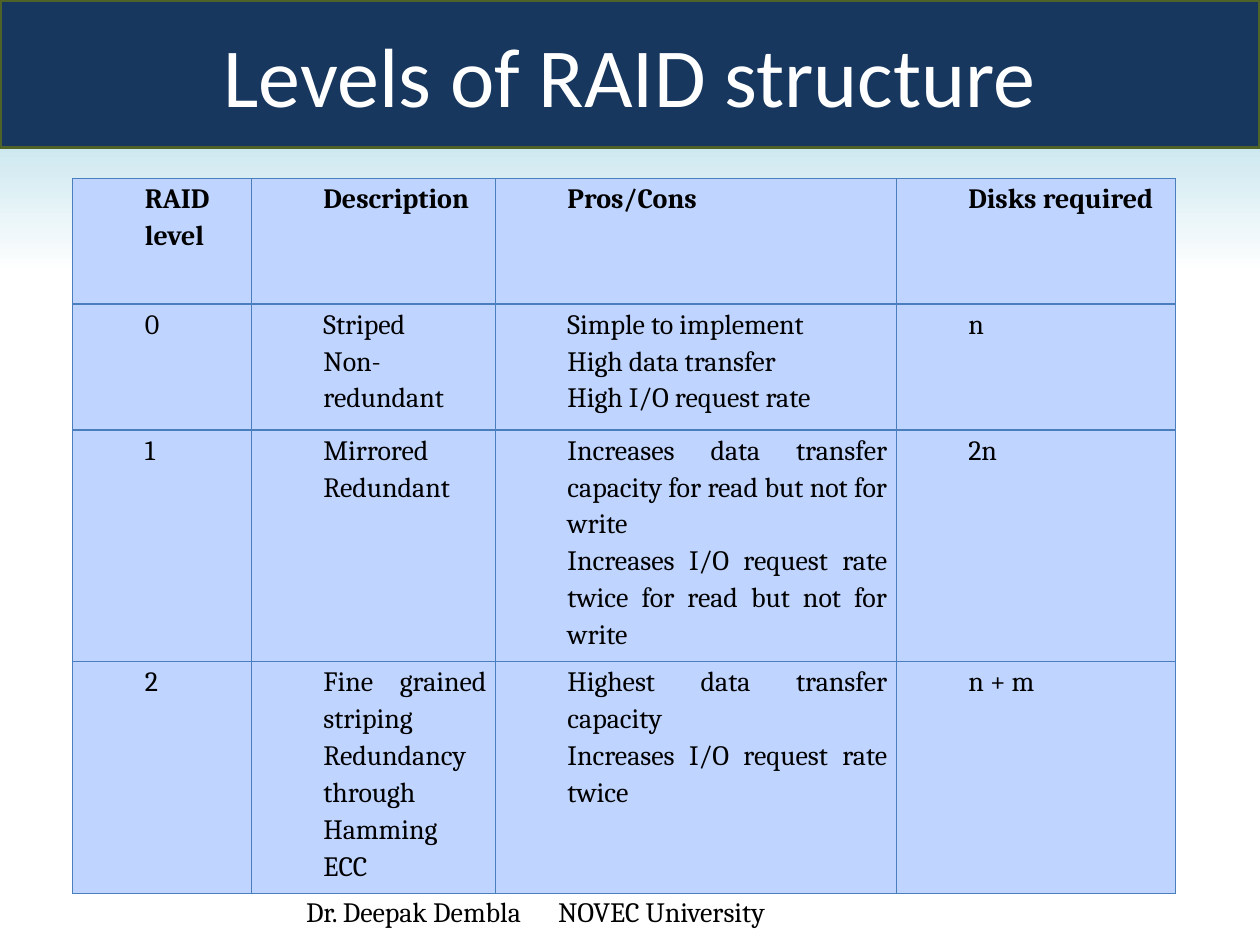
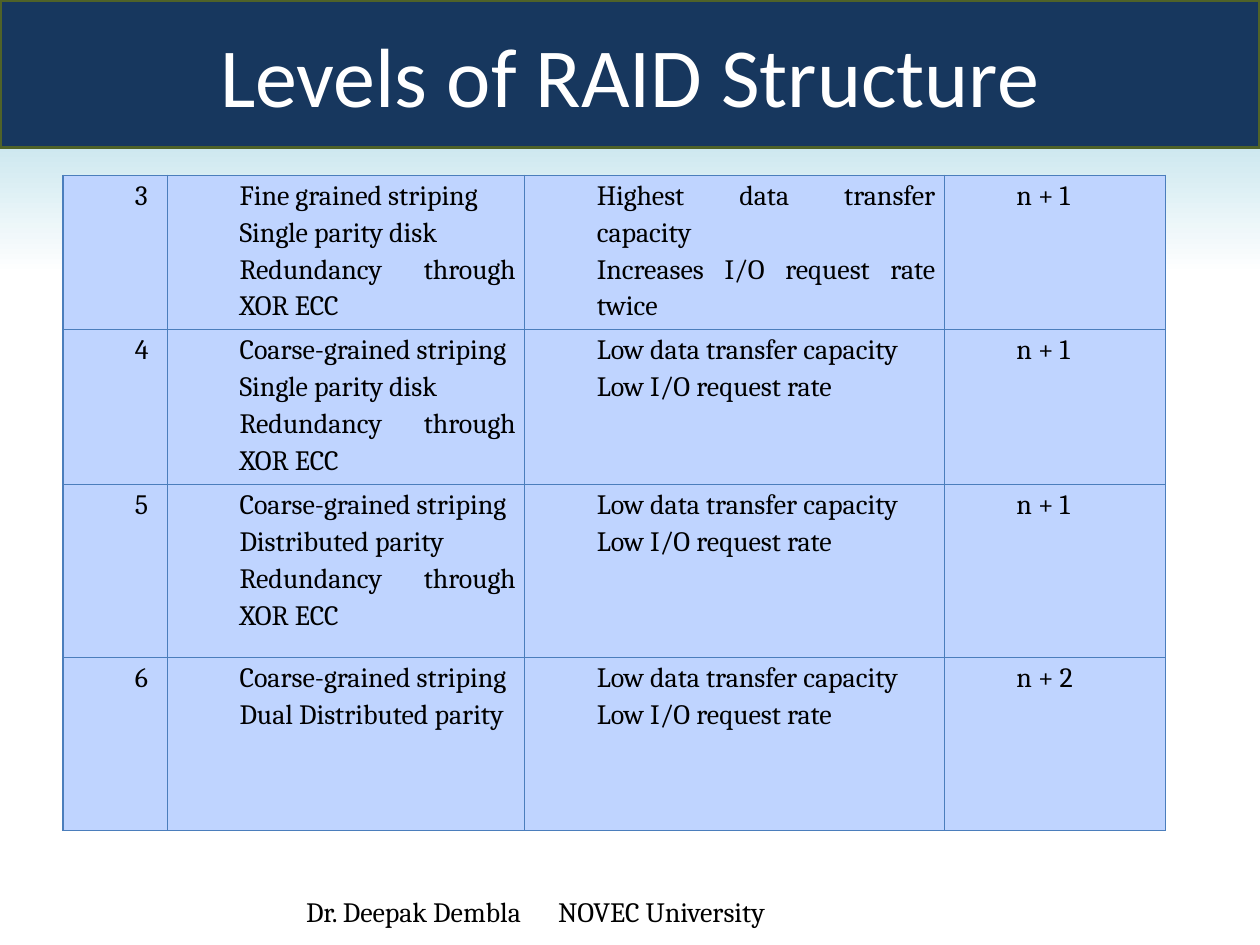
from lxml import etree
from pptx import Presentation
from pptx.dml.color import RGBColor
from pptx.enum import shapes, text
from pptx.oxml.ns import qn
from pptx.util import Cm, Pt

HUES = {
    "sky": "93CDDD", "white": "FFFFFF", "black": "000000", "navy": "17375E",
    "olive": "4F6228", "cell": "BFD4FF", "edge": "4B7EBC",
}
FOOTER = "Dr. Deepak Dembla\tNOVEC University"
XOR = "Redundancy through XOR ECC"
COARSE = "Coarse-grained striping"
FAST = ["Highest data transfer capacity", "Increases I/O request rate twice"]
SLOW = ["Low data transfer capacity", "Low I/O request rate"]

# Each cell is a list of paragraphs; lengths are in centimetres.
SLIDES = [
    {
        "title": "Levels of RAID structure",
        "head": True,
        "at": (1.47, 3.6),
        "cols": [3.6, 4.92, 8.08, 5.63],
        "heights": [2.53, 2.54, 4.67, 4.67],
        "rows": [
            [["RAID level"], ["Description"], ["Pros/Cons"], ["Disks required"]],
            [["0"], ["Striped", "Non-redundant"],
             ["Simple to implement", "High data transfer", "High I/O request rate"],
             ["n"]],
            [["1"], ["Mirrored", "Redundant"],
             ["Increases data transfer capacity for read but not for write",
              "Increases I/O request rate twice for read but not for write"],
             ["2n"]],
            [["2"], ["Fine grained striping", "Redundancy through Hamming ECC"],
             FAST, ["n + m"]],
        ],
    },
    {
        "title": "Levels of RAID Structure",
        "head": False,
        "at": (1.27, 3.53),
        "cols": [2.11, 7.2, 8.46, 4.45],
        "heights": [3.12, 3.11, 3.5, 3.48],
        "rows": [
            [["3"], ["Fine grained striping", "Single parity disk", XOR],
             FAST, ["n + 1"]],
            [["4"], [COARSE, "Single parity disk", XOR], SLOW, ["n + 1"]],
            [["5"], [COARSE, "Distributed parity", XOR], SLOW, ["n + 1"]],
            [["6"], [COARSE, "Dual Distributed parity"], SLOW, ["n + 2"]],
        ],
    },
]


def rgb(name):
    return RGBColor.from_string(HUES[name])


def paint(fill, name):
    fill.solid()
    fill.fore_color.rgb = rgb(name)


def write(frame, lines, font="Cambria", size=16, hue="black", bold=False,
          align=text.PP_ALIGN.LEFT, space=1.0, left=0, tab=None):
    """Fill a text frame with one paragraph per line; left and tab are in cm."""
    frame.word_wrap = True
    for i, line in enumerate(lines):
        para = frame.add_paragraph() if i else frame.paragraphs[0]
        para.alignment, para.line_spacing = align, space
        props = para._p.get_or_add_pPr()
        props.set("marL", str(Cm(left)))
        props.set("indent", "0")
        if tab:
            stops = etree.SubElement(props, qn("a:tabLst"))
            etree.SubElement(stops, qn("a:tab"), pos=str(Cm(tab)), algn="l")
        run = para.add_run()
        run.text = line
        run.font.name, run.font.size, run.font.bold = font, Pt(size), bold
        run.font.color.rgb = rgb(hue)


def edge(cell):
    """Draw a thin line on all four sides of a cell."""
    props = cell._tc.get_or_add_tcPr()
    for side in ("lnL", "lnR", "lnT", "lnB"):
        line = etree.SubElement(props, qn("a:" + side), w=str(Pt(0.75)))
        solid = etree.SubElement(line, qn("a:solidFill"))
        etree.SubElement(solid, qn("a:srgbClr"), val=HUES["edge"])


def add_band(slide, title):
    band = slide.shapes.add_shape(
        shapes.MSO_SHAPE.ROUNDED_RECTANGLE, 0, 0, Cm(25.4), Cm(2.97))
    band.adjustments[0] = 0
    band.shadow.inherit = False
    paint(band.fill, "navy")
    paint(band.line.fill, "olive")
    band.line.width = Pt(2)
    band.text_frame.vertical_anchor = text.MSO_ANCHOR.MIDDLE
    write(band.text_frame, [title], font="Calibri", size=48, hue="white",
          align=text.PP_ALIGN.CENTER)


def add_footer(slide):
    box = slide.shapes.add_textbox(Cm(5.92), Cm(17.91), Cm(15.04), Cm(1.0))
    write(box.text_frame, [FOOTER], tab=4.72)


def add_grid(slide, data):
    rows, cols, heights = data["rows"], data["cols"], data["heights"]
    x, y = data["at"]
    grid = slide.shapes.add_table(
        len(rows), len(cols), Cm(x), Cm(y), Cm(sum(cols)), Cm(sum(heights))).table
    grid.first_row = grid.horz_banding = False
    for col, width in zip(grid.columns, cols):
        col.width = Cm(width)
    for r, row in enumerate(rows):
        grid.rows[r].height = Cm(heights[r])
        head = data["head"] and r == 0
        for c, lines in enumerate(row):
            cell = grid.cell(r, c)
            cell.margin_left = cell.margin_right = Cm(0.18)
            cell.margin_top = cell.margin_bottom = 0
            edge(cell)
            paint(cell.fill, "cell")
            ragged = head and c == 0
            write(cell.text_frame, lines, bold=head, space=1.15, left=1.27,
                  align=text.PP_ALIGN.LEFT if ragged else text.PP_ALIGN.JUSTIFY)


def set_back(master):
    fill = master.background.fill
    fill.gradient()
    fill.gradient_angle = 270
    for stop, (place, hue) in zip(fill.gradient_stops, [(0, "sky"), (0.29, "white")]):
        stop.position = place
        stop.color.rgb = rgb(hue)


def main():
    deck = Presentation()
    deck.slide_width, deck.slide_height = Cm(25.4), Cm(19.05)
    set_back(deck.slide_master)
    for data in SLIDES:
        slide = deck.slides.add_slide(deck.slide_layouts[6])
        add_footer(slide)
        add_band(slide, data["title"])
        add_grid(slide, data)
    deck.save("out.pptx")


if __name__ == "__main__":
    main()
